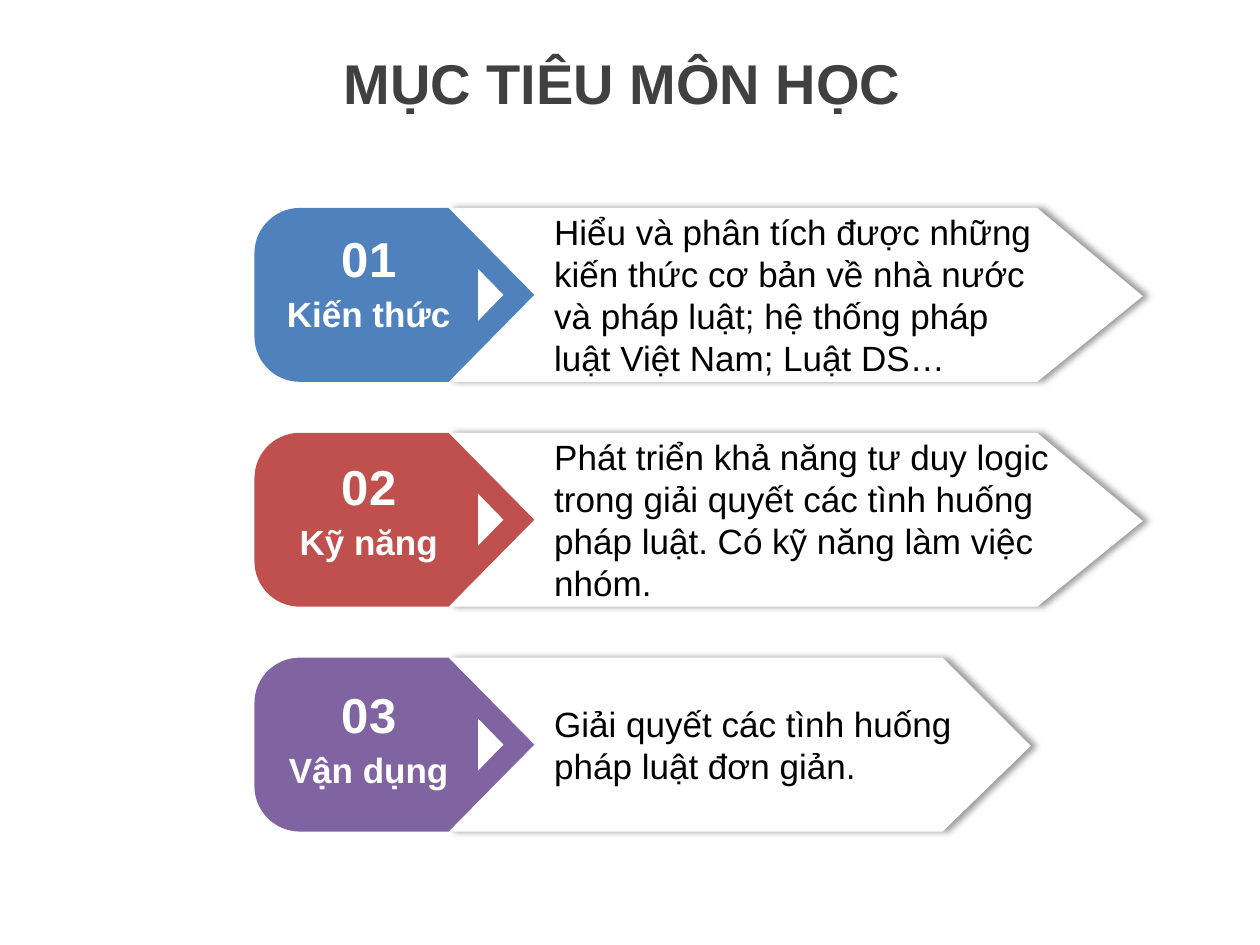
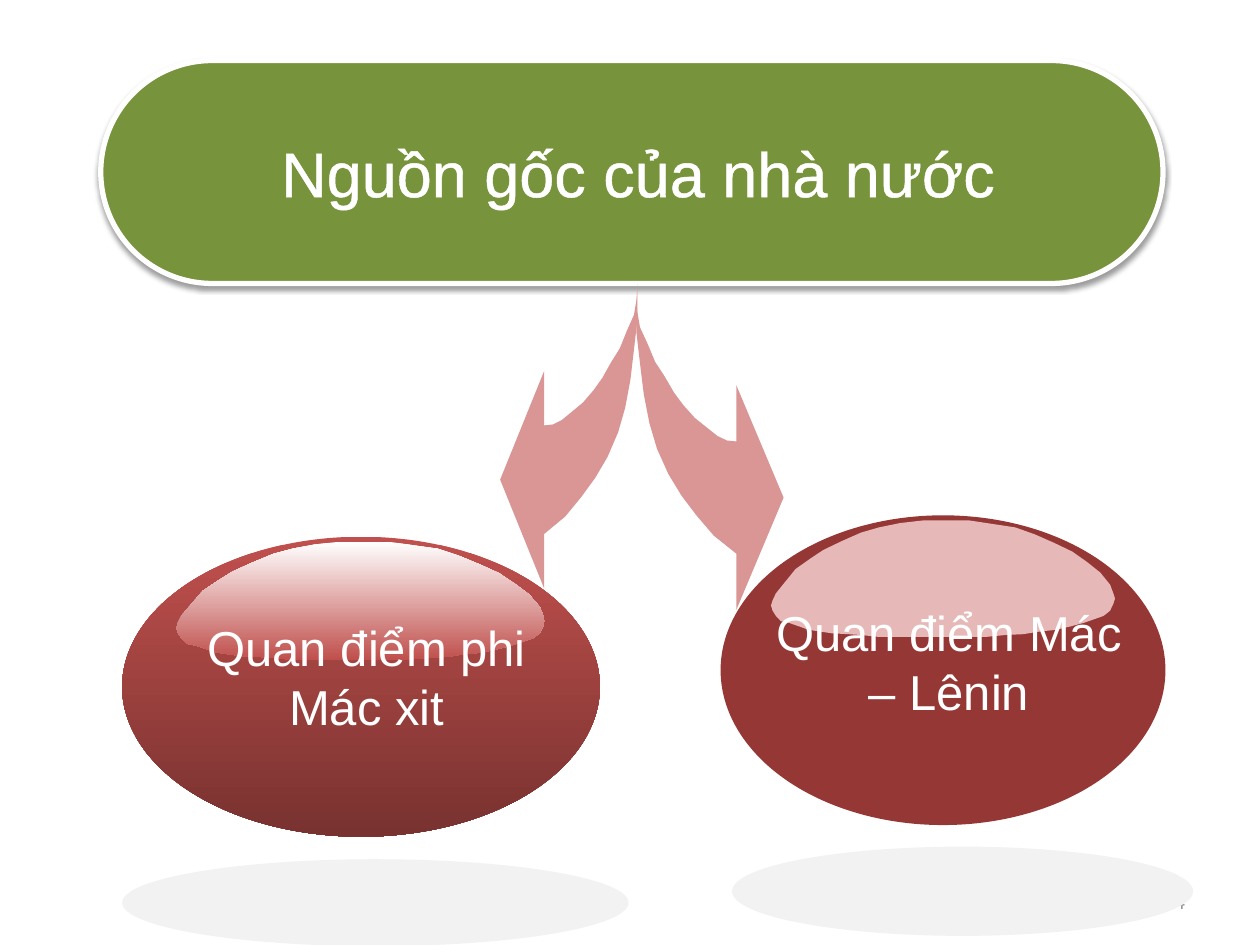
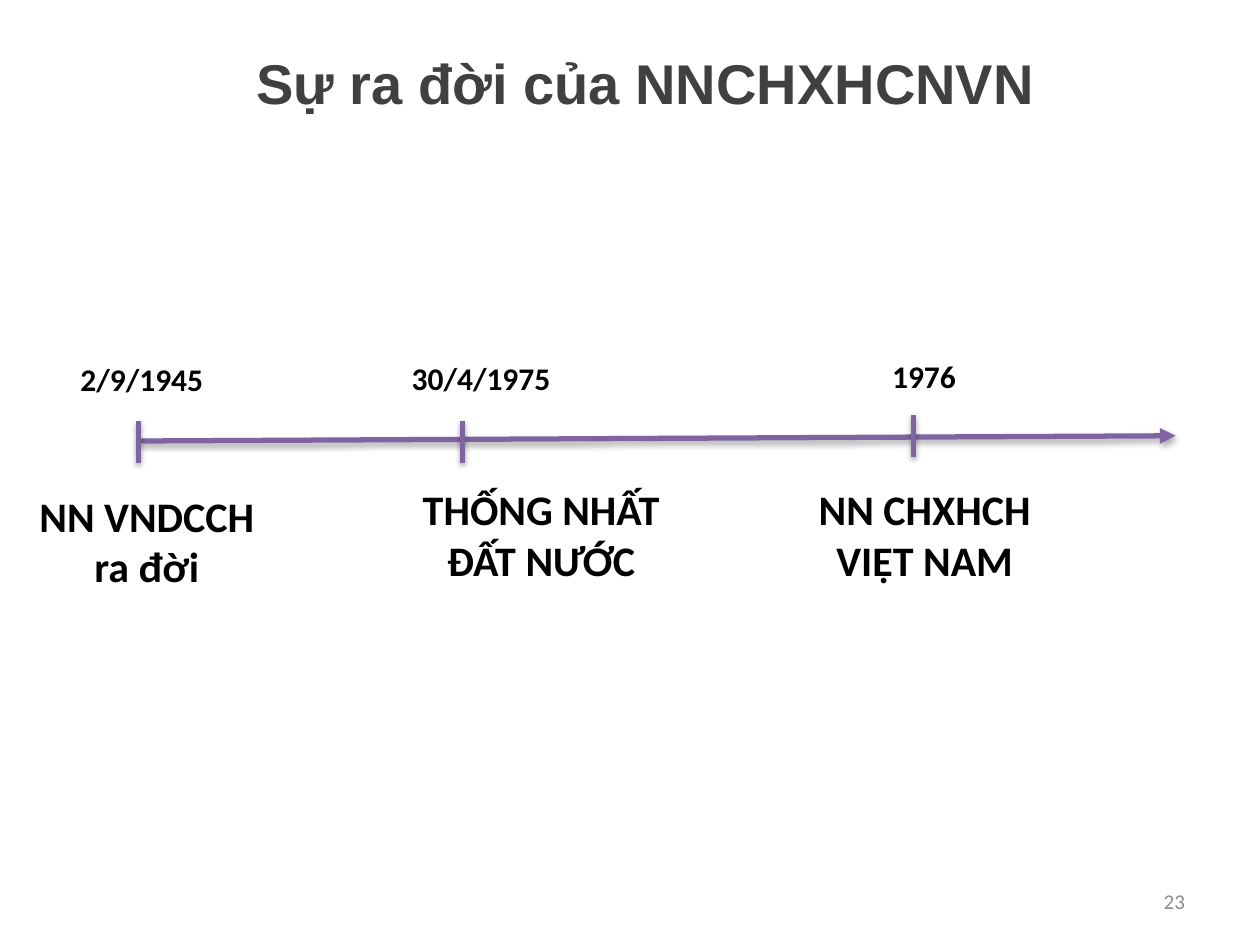
import math
from dataclasses import dataclass

from lxml import etree
from pptx import Presentation
from pptx.dml.color import RGBColor
from pptx.enum.shapes import MSO_CONNECTOR, MSO_SHAPE
from pptx.enum.text import MSO_ANCHOR, MSO_AUTO_SIZE, PP_ALIGN
from pptx.oxml.ns import qn
from pptx.util import Pt

LEFT, CENTER, RIGHT = PP_ALIGN.LEFT, PP_ALIGN.CENTER, PP_ALIGN.RIGHT
TOP, MIDDLE = MSO_ANCHOR.TOP, MSO_ANCHOR.MIDDLE
NO_AUTOFIT = MSO_AUTO_SIZE.NONE
STRAIGHT = MSO_CONNECTOR.STRAIGHT
ELLIPSE = MSO_SHAPE.OVAL
TRIANGLE = MSO_SHAPE.ISOSCELES_TRIANGLE
ROUNDED = MSO_SHAPE.ROUNDED_RECTANGLE

WHITE = RGBColor(0xFF, 0xFF, 0xFF)
BLACK = RGBColor(0, 0, 0)
TITLE_GRAY = RGBColor(0x40, 0x40, 0x40)
NUMBER_GRAY = RGBColor(0x8C, 0x8C, 0x8C)
FLOOR_GRAY = RGBColor(0xF2, 0xF2, 0xF2)
BLUE = RGBColor(0x4F, 0x81, 0xBD)
RED = RGBColor(0xC0, 0x50, 0x4D)
PURPLE = RGBColor(0x80, 0x64, 0xA2)
GREEN = RGBColor(0x77, 0x93, 0x3C)
DEEP_RED = RGBColor(0x78, 0x32, 0x30)
DARK_RED = RGBColor(0x95, 0x37, 0x35)
PALE_RED = RGBColor(0xE6, 0xB9, 0xB8)
ARROW_RED = RGBColor(0xD9, 0x96, 0x94)

Points = list[tuple[float, float]]
Fill = RGBColor | tuple[RGBColor, RGBColor]


@dataclass(frozen=True)
class Box:
    left: float
    top: float
    width: float
    height: float

    def lengths(self) -> list[Pt]:
        return [Pt(n) for n in (self.left, self.top, self.width, self.height)]


@dataclass(frozen=True)
class TextStyle:
    size: float
    color: RGBColor
    font: str = "Arial"
    bold: bool = False
    align: PP_ALIGN = CENTER
    anchor: MSO_ANCHOR = MIDDLE
    wrap: bool = True


@dataclass(frozen=True)
class Shadow:
    opacity: int
    blur: float
    distance: float
    angle: int


@dataclass(frozen=True)
class Goal:
    number: str
    label: str
    text: str
    color: RGBColor
    shoulder: float
    tip: float
    text_width: float
    text_height: float


@dataclass(frozen=True)
class Viewpoint:
    text: str
    ball: Box
    gloss: Box
    caption: Box
    floor: Box
    ball_fill: Fill
    gloss_fill: Fill


@dataclass(frozen=True)
class Milestone:
    date: str
    date_box: Box
    date_align: PP_ALIGN
    caption: list[str]
    caption_box: Box
    tick_left: float
    tick_top: float


TITLE = TextStyle(32, TITLE_GRAY, bold=True)
PAGE_NUMBER = TextStyle(12, NUMBER_GRAY, "Calibri", align=RIGHT)
GOAL_NUMBER = TextStyle(28, WHITE, bold=True, wrap=False)
GOAL_LABEL = TextStyle(20, WHITE, bold=True, wrap=False)
GOAL_TEXT = TextStyle(20, BLACK, align=LEFT)
BANNER = TextStyle(36, WHITE, wrap=False)
VIEWPOINT_TEXT = TextStyle(28, WHITE, anchor=TOP)
MILESTONE_TEXT = TextStyle(24, BLACK, "Calibri", bold=True, anchor=TOP)

GOAL_SHADOW = Shadow(40, 4, 3, 0)
BANNER_SHADOW = Shadow(38, 3.1, 1.6, 90)
LINE_SHADOW = Shadow(35, 3.1, 1.8, 90)

GOAL_TOP, GOAL_HEIGHT, GOAL_PITCH = 118.8, 99.4, 128.5
LABEL_PITCH = 130.3
TAG_LEFT, TAG_SHOULDER, TAG_TIP, TAG_RADIUS = 145.4, 256.3, 305.3, 26

GOALS = [
    Goal("01", "Kiến thức",
         "Hiểu và phân tích được những kiến thức cơ bản về nhà nước và pháp luật; "
         "hệ thống pháp luật Việt Nam; Luật DS…", BLUE, 592.6, 653, 291, 104.4),
    Goal("02", "Kỹ năng",
         "Phát triển khả năng tư duy logic trong giải quyết các tình huống pháp luật. "
         "Có kỹ năng làm việc nhóm.", RED, 592.6, 653, 309, 104.4),
    Goal("03", "Vận dụng", "Giải quyết các tình huống pháp luật đơn giản.",
         PURPLE, 538.6, 589, 267, 55.4),
]

VIEWPOINTS = [
    Viewpoint("Quan điểm phi Mác xit", Box(69.8, 306.7, 273, 171.4),
              Box(100.8, 309.6, 210.6, 67.3), Box(93.6, 349.2, 231.8, 75),
              Box(69.8, 491, 289.4, 49.7), (RED, DEEP_RED), (WHITE, RED)),
    Viewpoint("Quan điểm Mác – Lênin", Box(411.8, 294.5, 254.2, 177),
              Box(440.6, 297.4, 196.6, 66.5), Box(427.7, 340.6, 229, 75),
              Box(418.3, 483.8, 263.5, 51), DARK_RED, PALE_RED),
]

MILESTONES = [
    Milestone("2/9/1945", Box(38.9, 202.3, 90, 29), LEFT, ["NN VNDCCH ra đời"],
              Box(2.9, 276.5, 162, 65.5), 79.2, 240.5),
    Milestone("30/4/1975", Box(228.2, 201.6, 114, 29), LEFT, ["THỐNG NHẤT ĐẤT NƯỚC"],
              Box(228.2, 272.9, 162, 65.5), 264.2, 240.5),
    Milestone("1976", Box(486, 200.2, 84, 29), CENTER, ["NN CHXHCH", "VIỆT NAM"],
              Box(423.4, 272.9, 210, 65.5), 522, 237),
]

GLOSS: Points = [
    (207, 37), (209, 42), (210, 45), (209, 48), (207, 52), (203, 55), (197, 57),
    (191, 59), (183, 61), (174, 63), (164, 64), (154, 65.5), (143, 66), (132, 67),
    (65, 67), (55, 66), (47, 65.5), (37, 65), (30, 64), (23, 63), (17, 61), (11, 59),
    (6, 58), (3, 55), (1, 52), (0, 49), (1, 46), (3, 42), (9, 35), (15, 28), (24, 22),
    (32, 17), (43, 12), (55, 7), (66, 4), (79, 1.5), (93, 0), (121, 0), (135, 2),
    (149, 4), (161, 8), (173, 13), (184, 18), (193, 24), (201, 30),
]
CURVED_ARROW: Points = [
    (78, 0), (78, 20), (76, 38), (74, 55), (71, 71), (67, 85), (61, 99), (54, 111),
    (46, 122), (37, 133), (25, 143), (25, 174), (0, 112), (25, 50), (25, 81),
    (30, 80.5), (35, 78), (41, 73), (47, 68), (53, 61), (58, 54), (63, 45), (68, 37),
    (72, 27), (76, 18), (77.5, 9),
]


def write_text(shape, paragraphs: list[str], style: TextStyle) -> None:
    frame = shape.text_frame
    frame.auto_size = NO_AUTOFIT
    frame.word_wrap = style.wrap
    frame.vertical_anchor = style.anchor
    for index, text in enumerate(paragraphs):
        paragraph = frame.add_paragraph() if index else frame.paragraphs[0]
        paragraph.alignment = style.align
        run = paragraph.add_run()
        run.text = text
        run.font.name = style.font
        run.font.size = Pt(style.size)
        run.font.bold = style.bold
        run.font.color.rgb = style.color


def add_text(shapes, box: Box, paragraphs: list[str], style: TextStyle) -> None:
    write_text(shapes.add_textbox(*box.lengths()), paragraphs, style)


def add_title(slide, box: Box, text: str) -> None:
    title = slide.shapes.title
    title.left, title.top, title.width, title.height = box.lengths()
    write_text(title, [text], TITLE)


def add_page_number(slide, number: str) -> None:
    add_text(slide.shapes, Box(516.2, 500.4, 168, 28.8), [number], PAGE_NUMBER)


def paint(shape, fill: Fill) -> None:
    shape.shadow.inherit = False
    shape.line.fill.background()
    if isinstance(fill, RGBColor):
        shape.fill.solid()
        shape.fill.fore_color.rgb = fill
        return
    shape.fill.gradient()
    shape.fill.gradient_angle = 270
    for stop, color in zip(shape.fill.gradient_stops, fill):
        stop.color.rgb = color


def cast_shadow(shape, shadow: Shadow) -> None:
    properties = shape._element.spPr
    effects = properties.find(qn("a:effectLst"))
    if effects is None:
        effects = etree.SubElement(properties, qn("a:effectLst"))
    outer = etree.SubElement(
        effects, qn("a:outerShdw"), blurRad=str(Pt(shadow.blur)),
        dist=str(Pt(shadow.distance)), dir=str(shadow.angle * 60000),
        algn="ctr", rotWithShape="0")
    color = etree.SubElement(outer, qn("a:srgbClr"), val=str(BLACK))
    etree.SubElement(color, qn("a:alpha"), val=str(shadow.opacity * 1000))


def add_preset(shapes, kind: MSO_SHAPE, box: Box, fill: Fill):
    shape = shapes.add_shape(kind, *box.lengths())
    paint(shape, fill)
    return shape


def add_polygon(shapes, points: Points, fill: Fill):
    corners = [(Pt(x), Pt(y)) for x, y in points]
    builder = shapes.build_freeform(*corners[0])
    builder.add_line_segments(corners[1:], close=True)
    shape = builder.convert_to_shape()
    paint(shape, fill)
    return shape


def fit_outline(outline: Points, box: Box, mirrored: bool = False) -> Points:
    width = max(x for x, _ in outline)
    height = max(y for _, y in outline)
    return [(box.left + box.width * (width - x if mirrored else x) / width,
             box.top + box.height * y / height) for x, y in outline]


def corner_arc(x: float, y: float, start: int) -> Points:
    angles = [math.radians(start + step) for step in range(0, 91, 6)]
    return [(x + TAG_RADIUS * math.cos(a), y + TAG_RADIUS * math.sin(a)) for a in angles]


def add_goal(shapes, goal: Goal, row: int) -> None:
    top = GOAL_TOP + row * GOAL_PITCH
    bottom = top + GOAL_HEIGHT
    middle = (top + bottom) / 2
    body = add_polygon(shapes, [
        (TAG_SHOULDER, top), (goal.shoulder, top), (goal.tip, middle + 0.7),
        (goal.shoulder, bottom), (TAG_SHOULDER, bottom)], WHITE)
    cast_shadow(body, GOAL_SHADOW)
    arc_center = TAG_LEFT + TAG_RADIUS
    add_polygon(shapes, [
        *corner_arc(arc_center, bottom - TAG_RADIUS, 90),
        *corner_arc(arc_center, top + TAG_RADIUS, 180),
        (TAG_SHOULDER, top), (TAG_TIP, middle), (TAG_SHOULDER, bottom)], goal.color)
    pointer = add_preset(shapes, TRIANGLE, Box(265.7, middle - 7.2, 29.5, 14.4), WHITE)
    pointer.rotation = 90
    shift = row * LABEL_PITCH
    add_text(shapes, Box(187.9, 126.8 + shift, 46, 41), [goal.number], GOAL_NUMBER)
    add_text(shapes, Box(156.2, 163.5 + shift, 109, 31.5), [goal.label], GOAL_LABEL)
    text_box = Box(309.6, middle - goal.text_height / 2, goal.text_width, goal.text_height)
    add_text(shapes, text_box, [goal.text], GOAL_TEXT)


def add_viewpoint(slide, viewpoint: Viewpoint) -> None:
    shapes = slide.shapes.add_group_shape().shapes
    add_preset(shapes, ELLIPSE, viewpoint.ball, viewpoint.ball_fill)
    add_polygon(shapes, fit_outline(GLOSS, viewpoint.gloss), viewpoint.gloss_fill)
    add_text(shapes, viewpoint.caption, [viewpoint.text], VIEWPOINT_TEXT)
    add_preset(shapes, ELLIPSE, viewpoint.floor, FLOOR_GRAY)


def add_banner(slide, text: str) -> None:
    banner = add_preset(slide.shapes, ROUNDED, Box(57.6, 34.6, 607, 127.4), GREEN)
    banner.adjustments[0] = 0.5
    banner.line.color.rgb = WHITE
    banner.line.width = Pt(3)
    cast_shadow(banner, BANNER_SHADOW)
    write_text(banner, [text], BANNER)
    paragraph = banner.text_frame.paragraphs[0]
    paragraph._p.get_or_add_pPr().set("indent", str(Pt(7.2)))
    outline = etree.Element(qn("a:ln"), w=str(Pt(1.45)))
    solid = etree.SubElement(outline, qn("a:solidFill"))
    etree.SubElement(solid, qn("a:srgbClr"), val=str(WHITE))
    paragraph.runs[0]._r.get_or_add_rPr().insert(0, outline)


def add_line(shapes, start: tuple[float, float], end: tuple[float, float],
             arrow: bool = False) -> None:
    connector = shapes.add_connector(STRAIGHT, *[Pt(n) for n in (*start, *end)])
    connector.line.color.rgb = PURPLE
    connector.line.width = Pt(3)
    if arrow:
        line = connector._element.spPr.find(qn("a:ln"))
        etree.SubElement(line, qn("a:tailEnd"), type="triangle")
    cast_shadow(connector, LINE_SHADOW)


def add_milestone(shapes, milestone: Milestone) -> None:
    left, top = milestone.tick_left, milestone.tick_top
    add_line(shapes, (left, top), (left, top + 24))
    date_style = TextStyle(18, BLACK, "Calibri", True, milestone.date_align, TOP)
    add_text(shapes, milestone.date_box, [milestone.date], date_style)
    add_text(shapes, milestone.caption_box, milestone.caption, MILESTONE_TEXT)


def build_goals(presentation) -> None:
    slide = presentation.slides.add_slide(presentation.slide_layouts[5])
    add_title(slide, Box(187.9, 23.8, 335.5, 46), "MỤC TIÊU MÔN HỌC")
    for row, goal in enumerate(GOALS):
        add_goal(slide.shapes, goal, row)


def build_origins(presentation) -> None:
    slide = presentation.slides.add_slide(presentation.slide_layouts[6])
    add_page_number(slide, "4")
    add_banner(slide, "Nguồn gốc của nhà nước")
    for viewpoint in VIEWPOINTS:
        add_viewpoint(slide, viewpoint)
    left_arrow = fit_outline(CURVED_ARROW, Box(285.8, 162, 78.5, 174.2))
    right_arrow = fit_outline(CURVED_ARROW, Box(363.6, 168.5, 84.2, 180), mirrored=True)
    for arrow in (left_arrow, right_arrow):
        add_polygon(slide.shapes, arrow, ARROW_RED)


def build_timeline(presentation) -> None:
    slide = presentation.slides.add_slide(presentation.slide_layouts[5])
    add_page_number(slide, "23")
    add_title(slide, Box(108, 23.8, 522, 46), "Sự ra đời của NNCHXHCNVN")
    add_line(slide.shapes, (79.2, 252), (671.8, 249), arrow=True)
    for milestone in MILESTONES:
        add_milestone(slide.shapes, milestone)


def main() -> None:
    presentation = Presentation()
    presentation.slide_width, presentation.slide_height = Pt(720), Pt(540)
    build_goals(presentation)
    build_origins(presentation)
    build_timeline(presentation)
    presentation.save("out.pptx")


if __name__ == "__main__":
    main()
